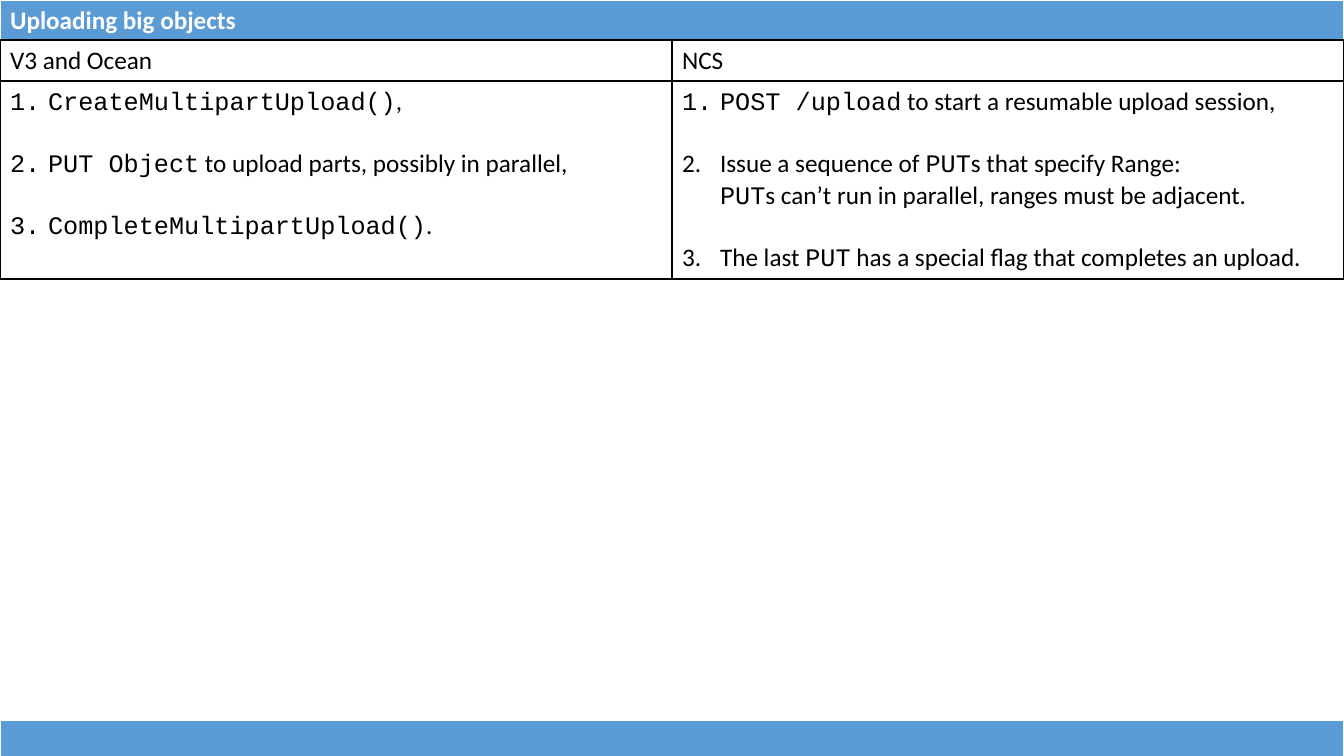
"""Build the slide that compares ways of uploading big objects."""
from dataclasses import dataclass
from typing import NamedTuple, Optional

from lxml import etree
from pptx import Presentation, util as u
from pptx.dml.color import RGBColor
from pptx.oxml.ns import qn
from pptx.slide import Slide
from pptx.table import _Cell

EMU_PER_PX = 9071
WIDTH, HEIGHT = 1344, 756
INDENT = 38

BLUE = RGBColor(0x5B, 0x9B, 0xD5)
WHITE = RGBColor(0xFF, 0xFF, 0xFF)
BLACK = RGBColor(0x00, 0x00, 0x00)

BAND_BORDERS = {"lnL": 1, "lnR": 1, "lnT": 1, "lnB": 3}
GRID_BORDERS = {"lnL": 1, "lnR": 1, "lnT": 1, "lnB": 1}


class Run(NamedTuple):
    """A piece of text, in code type or starting a new line if asked."""
    text: str
    code: bool = False
    new_line: bool = False


Paragraph = list[Run]


@dataclass
class CellText:
    """The paragraphs of one cell, numbered when they are steps."""
    paragraphs: list[Paragraph]
    numbered: bool = False


@dataclass
class Grid:
    """A full-width table with its rows and its look."""
    top: int
    row_heights: list[int]
    cells: list[list[CellText]]
    borders: dict[str, int]
    line: RGBColor
    color: RGBColor
    fill: Optional[RGBColor] = None
    bold: bool = False


MULTIPART = CellText([
    [Run("CreateMultipartUpload()", code=True), Run(",")],
    [Run("PUT Object", code=True), Run(" to upload parts, possibly in parallel,")],
    [Run("CompleteMultipartUpload()", code=True), Run(".")],
], numbered=True)

RESUMABLE = CellText([
    [Run("POST /upload", code=True), Run(" to start a resumable upload session,")],
    [Run("Issue a sequence of "), Run("PUT", code=True), Run("s that specify Range:"),
     Run("PUT", code=True, new_line=True),
     Run("s can’t run in parallel, ranges must be adjacent.")],
    [Run("The last "), Run("PUT", code=True),
     Run(" has a special flag that completes an upload.")],
], numbered=True)

GRIDS = [
    Grid(0, [35], [[CellText([[Run("Uploading big objects")]])]],
         BAND_BORDERS, WHITE, WHITE, BLUE, bold=True),
    Grid(720, [34], [[CellText([])]], BAND_BORDERS, WHITE, WHITE, BLUE),
    Grid(40, [41, 198],
         [[CellText([[Run("V3 and Ocean")]]), CellText([[Run("NCS")]])],
          [MULTIPART, RESUMABLE]],
         GRID_BORDERS, BLACK, BLACK),
]


def px(n: int) -> u.Emu:
    """Turn pixels into EMU."""
    return u.Emu(n * EMU_PER_PX)


def set_borders(cell: _Cell, grid: Grid) -> None:
    """Draw the four sides of a cell."""
    tc_pr = cell._tc.get_or_add_tcPr()
    for side, width in grid.borders.items():
        ln = etree.SubElement(tc_pr, qn(f"a:{side}"), w=str(u.Pt(width)))
        fill = etree.SubElement(ln, qn("a:solidFill"))
        etree.SubElement(fill, qn("a:srgbClr"), val=str(grid.line))


def write_text(cell: _Cell, content: CellText, grid: Grid) -> None:
    """Write the paragraphs of a cell."""
    tf = cell.text_frame
    for i, runs in enumerate(content.paragraphs):
        p = tf.add_paragraph() if i else tf.paragraphs[0]
        if content.numbered:
            p.space_before = u.Pt(22 if i else 0)
            p_pr = p._p.get_or_add_pPr()
            p_pr.set("marL", str(px(INDENT)))
            p_pr.set("indent", str(-px(INDENT)))
            etree.SubElement(p_pr, qn("a:buAutoNum"), type="arabicPeriod")
        for run in runs:
            if run.new_line:
                p.add_line_break()
            r = p.add_run()
            r.text = run.text
            r.font.color.rgb = grid.color
            look = {"name": "Courier New" if run.code else "Calibri",
                    "size": u.Pt(18), "bold": grid.bold}
            for key, value in look.items():
                setattr(r.font, key, value)


def add_grid(s: Slide, grid: Grid) -> None:
    """Add one table to the slide."""
    rows, cols = len(grid.cells), len(grid.cells[0])
    sp = s.shapes.add_table(rows, cols, 0, px(grid.top), px(WIDTH),
                            px(sum(grid.row_heights)))
    table = sp.table
    table.first_row = table.horz_banding = False
    for col in table.columns:
        col.width = px(WIDTH // cols)
    for i, height in enumerate(grid.row_heights):
        table.rows[i].height = px(height)
        for j, content in enumerate(grid.cells[i]):
            cell = table.cell(i, j)
            set_borders(cell, grid)
            if grid.fill is None:
                cell.fill.background()
            else:
                cell.fill.solid()
                cell.fill.fore_color.rgb = grid.fill
            write_text(cell, content, grid)


def main() -> None:
    """Create and save the slide."""
    prs = Presentation()
    prs.slide_width, prs.slide_height = px(WIDTH), px(HEIGHT)
    s = prs.slides.add_slide(prs.slide_layouts[6])
    for grid in GRIDS:
        add_grid(s, grid)
    prs.save("out.pptx")


if __name__ == "__main__":
    main()
